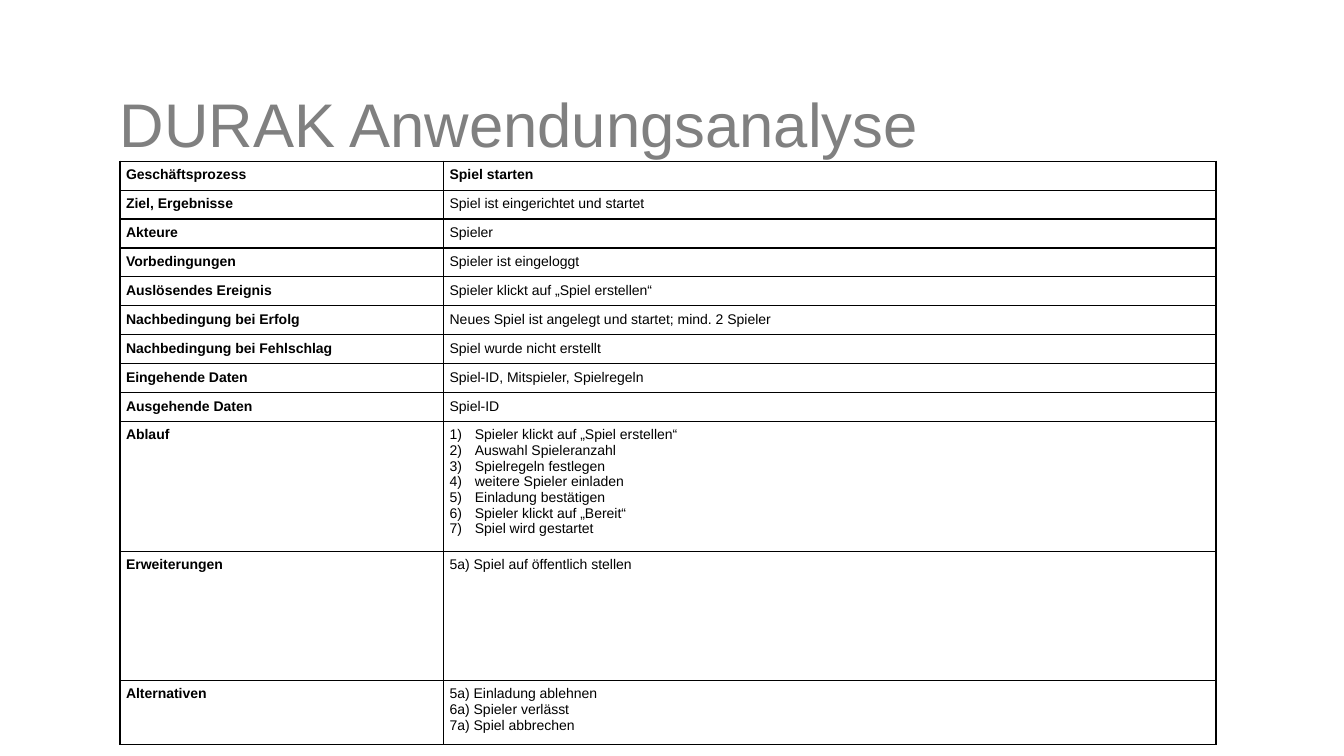
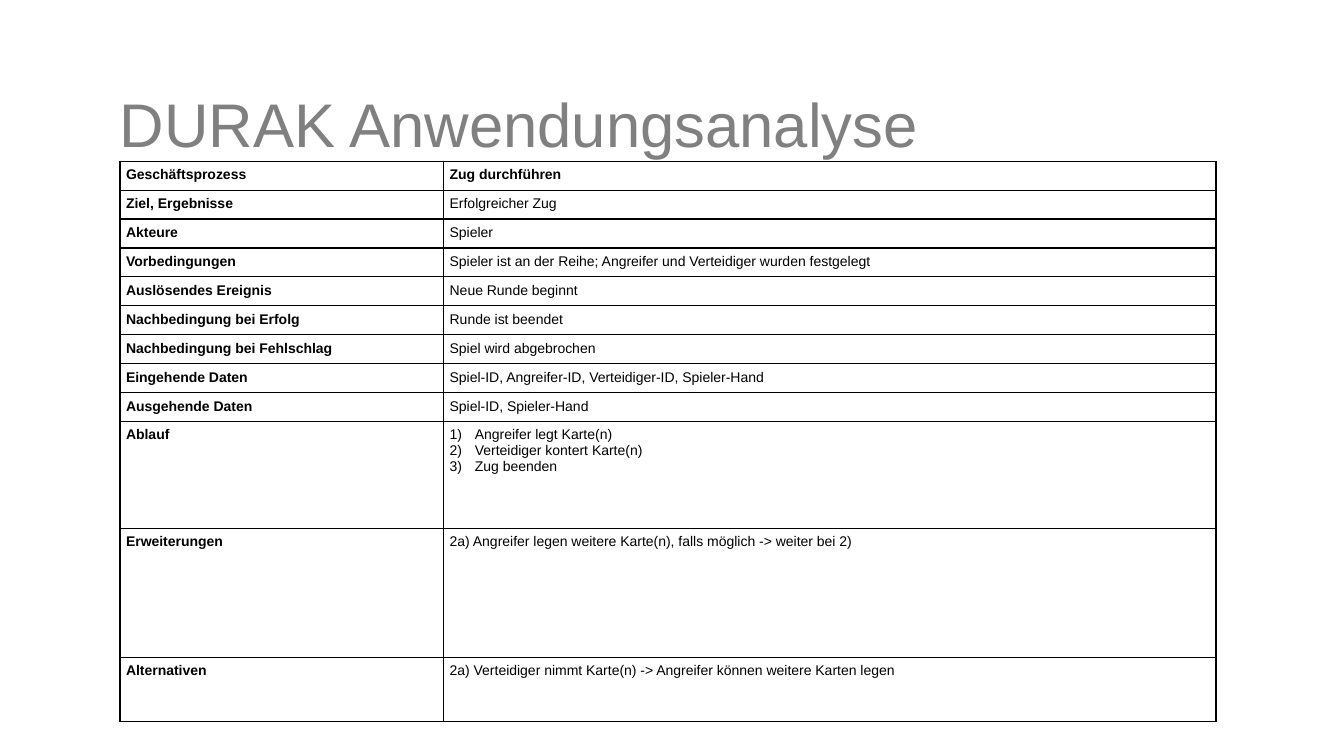
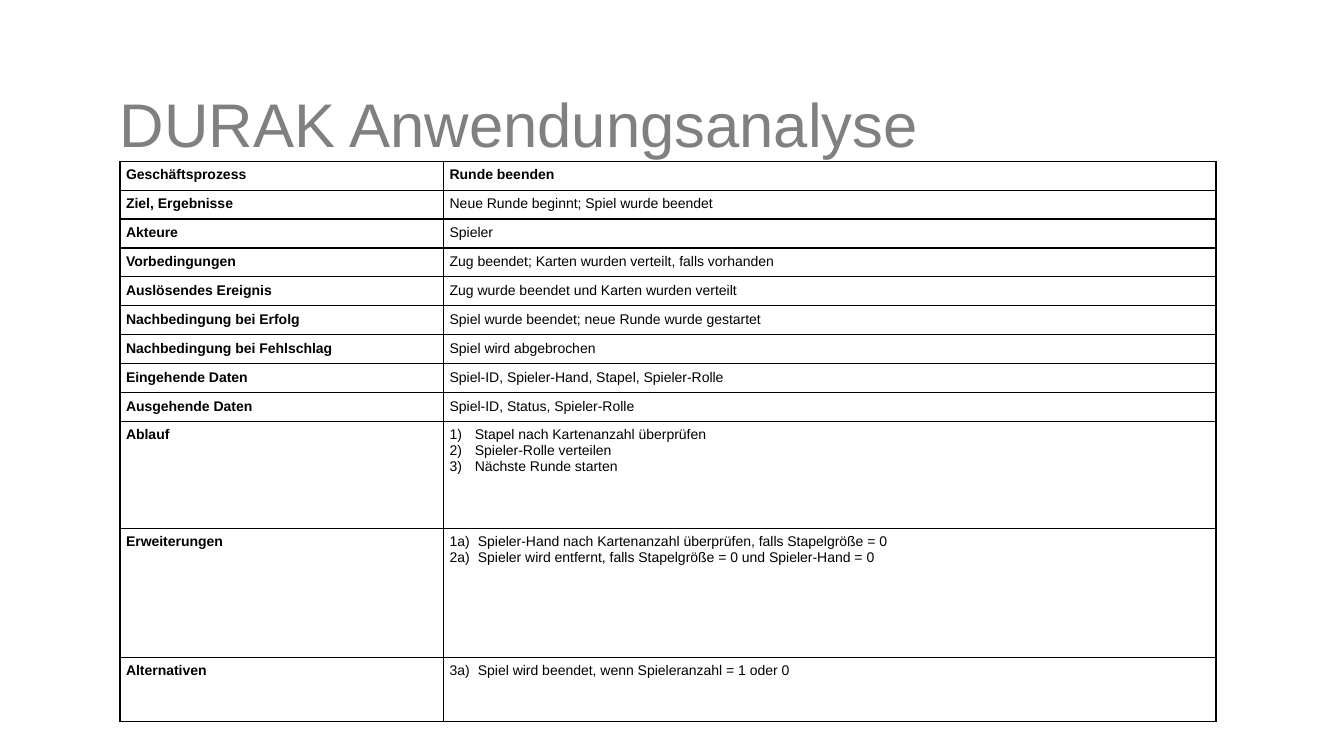
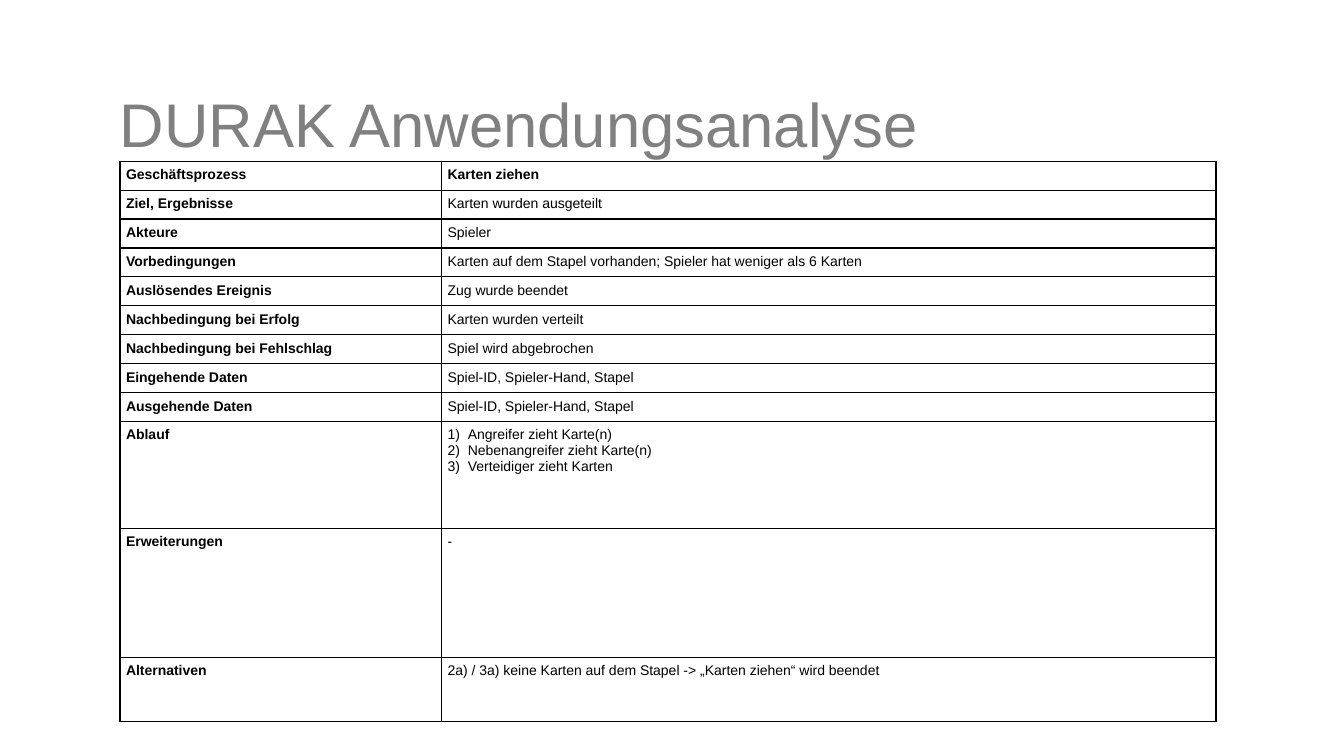
from dataclasses import dataclass

from lxml import etree
from pptx import Presentation
from pptx.dml.color import RGBColor
from pptx.enum import text as t
from pptx.oxml import ns
from pptx.util import Inches, Pt

COLORS = {"title": "808080", "text": "000000", "line": "000000"}
FONT = "Arial"
TITLE = "DURAK Anwendungsanalyse"
LEFT, WIDTH = 1.19, 10.87
TOP, FLOW_TOP = 1.6, 4.18
PAD = 0.06
LABELS = [
    "Geschäftsprozess", "Ziel, Ergebnisse", "Akteure", "Vorbedingungen",
    "Auslösendes Ereignis", "Nachbedingung bei Erfolg",
    "Nachbedingung bei Fehlschlag", "Eingehende Daten", "Ausgehende Daten",
    "Ablauf", "Erweiterungen", "Alternativen",
]
SHORT = len(LABELS) - 3


@dataclass
class Entry:
    """Lines of one cell; hang is the hanging indent in inches."""
    lines: list[str]
    hang: float = 0
    auto: bool = False


@dataclass
class Case:
    facts: list[str]
    flow: Entry
    extras: Entry
    others: Entry
    flow_high: float = 1.06
    label_wide: float = 3.21


CASES = [
    Case(
        ["Spiel starten", "Spiel ist eingerichtet und startet", "Spieler",
         "Spieler ist eingeloggt", "Spieler klickt auf „Spiel erstellen“",
         "Neues Spiel ist angelegt und startet; mind. 2 Spieler",
         "Spiel wurde nicht erstellt", "Spiel-ID, Mitspieler, Spielregeln",
         "Spiel-ID"],
        Entry(["Spieler klickt auf „Spiel erstellen“", "Auswahl Spieleranzahl",
               "Spielregeln festlegen", "weitere Spieler einladen",
               "Einladung bestätigen", "Spieler klickt auf „Bereit“",
               "Spiel wird gestartet"], 0.25, True),
        Entry(["5a) Spiel auf öffentlich stellen"]),
        Entry(["5a) Einladung ablehnen", "6a) Spieler verlässt",
               "7a) Spiel abbrechen"]),
        flow_high=1.29,
    ),
    Case(
        ["Zug durchführen", "Erfolgreicher Zug", "Spieler",
         "Spieler ist an der Reihe; Angreifer und Verteidiger wurden festgelegt",
         "Neue Runde beginnt", "Runde ist beendet", "Spiel wird abgebrochen",
         "Spiel-ID, Angreifer-ID, Verteidiger-ID, Spieler-Hand",
         "Spiel-ID, Spieler-Hand"],
        Entry(["Angreifer legt Karte(n)", "Verteidiger kontert Karte(n)",
               "Zug beenden"], 0.25, True),
        Entry(["2a) Angreifer legen weitere Karte(n), falls möglich -> weiter bei 2)"]),
        Entry(["2a) Verteidiger nimmt Karte(n) -> Angreifer können weitere Karten legen"]),
    ),
    Case(
        ["Runde beenden", "Neue Runde beginnt; Spiel wurde beendet", "Spieler",
         "Zug beendet; Karten wurden verteilt, falls vorhanden",
         "Zug wurde beendet und Karten wurden verteilt",
         "Spiel wurde beendet; neue Runde wurde gestartet",
         "Spiel wird abgebrochen",
         "Spiel-ID, Spieler-Hand, Stapel, Spieler-Rolle",
         "Spiel-ID, Status, Spieler-Rolle"],
        Entry(["Stapel nach Kartenanzahl überprüfen", "Spieler-Rolle verteilen",
               "Nächste Runde starten"], 0.25, True),
        Entry(["1a)\tSpieler-Hand nach Kartenanzahl überprüfen, falls Stapelgröße = 0",
               "2a)\tSpieler wird entfernt, falls Stapelgröße = 0 und Spieler-Hand = 0"],
              0.28),
        Entry(["3a)\tSpiel wird beendet, wenn Spieleranzahl = 1 oder 0"], 0.28),
    ),
    Case(
        ["Karten ziehen", "Karten wurden ausgeteilt", "Spieler",
         "Karten auf dem Stapel vorhanden; Spieler hat weniger als 6 Karten",
         "Zug wurde beendet", "Karten wurden verteilt", "Spiel wird abgebrochen",
         "Spiel-ID, Spieler-Hand, Stapel", "Spiel-ID, Spieler-Hand, Stapel"],
        Entry(["1)\tAngreifer zieht Karte(n)", "2)\tNebenangreifer zieht Karte(n)",
               "3)\tVerteidiger zieht Karten"], 0.2),
        Entry(["-"]),
        Entry(["2a) / 3a) keine Karten auf dem Stapel -> „Karten ziehen“ wird beendet"]),
        label_wide=3.19,
    ),
]


def style(para, size: float, color: str, bold: bool = False) -> None:
    font = para.font
    font.name, font.size, font.bold = FONT, Pt(size), bold
    font.color.rgb = RGBColor.from_string(COLORS[color])


def hang(para, entry: Entry) -> None:
    """Indent the lines after their number and count them if asked."""
    props = para._p.get_or_add_pPr()
    props.set("marL", str(Inches(entry.hang)))
    props.set("indent", str(-Inches(entry.hang)))
    if entry.auto:
        mark = etree.Element(ns.qn("a:buAutoNum"), type="arabicParenR")
        props.insert(0, mark)


def frame(cell) -> None:
    """Draw the four borders of a cell."""
    props = cell._tc.get_or_add_tcPr()
    for spot, side in enumerate(("lnL", "lnR", "lnT", "lnB")):
        line = etree.Element(ns.qn(f"a:{side}"), w=str(Pt(0.96)))
        fill = etree.SubElement(line, ns.qn("a:solidFill"))
        etree.SubElement(fill, ns.qn("a:srgbClr"), val=COLORS["line"])
        props.insert(spot, line)


def write(cell, entry: Entry, bold: bool) -> None:
    cell.margin_left = cell.margin_right = Inches(PAD)
    cell.margin_top = cell.margin_bottom = Inches(PAD)
    cell.fill.background()
    frame(cell)
    body = cell.text_frame
    for spot, line in enumerate(entry.lines):
        para = body.add_paragraph() if spot else body.paragraphs[0]
        para.text = line
        style(para, 10, "text", bold)
        if entry.hang:
            hang(para, entry)


def head(slide) -> None:
    title = slide.shapes.title
    title.left, title.top = Inches(LEFT), Inches(0.77)
    title.width, title.height = Inches(WIDTH), Inches(0.98)
    body = title.text_frame
    body.text = TITLE
    body.word_wrap = True
    body.auto_size = t.MSO_AUTO_SIZE.NONE
    body.vertical_anchor = t.MSO_ANCHOR.TOP
    body.margin_left = body.margin_right = 0
    body.margin_top, body.margin_bottom = Inches(0.08), Inches(0.01)
    para = body.paragraphs[0]
    para.alignment = t.PP_ALIGN.LEFT
    style(para, 44, "title")


def grid(slide, case: Case) -> None:
    highs = [(FLOW_TOP - TOP) / SHORT] * SHORT + [case.flow_high, 1.28, 0.64]
    table = slide.shapes.add_table(
        len(LABELS), 2, Inches(LEFT), Inches(TOP),
        Inches(WIDTH), Inches(sum(highs))).table
    table.first_row = table.horz_banding = False
    for col, wide in zip(table.columns, (case.label_wide, WIDTH - case.label_wide)):
        col.width = Inches(wide)
    entries = [Entry([fact]) for fact in case.facts]
    entries += [case.flow, case.extras, case.others]
    for spot, (label, entry, high) in enumerate(zip(LABELS, entries, highs)):
        table.rows[spot].height = Inches(high)
        write(table.cell(spot, 0), Entry([label]), True)
        write(table.cell(spot, 1), entry, spot == 0)


def main() -> None:
    deck = Presentation()
    deck.slide_width, deck.slide_height = Inches(13.33), Inches(7.5)
    for case in CASES:
        slide = deck.slides.add_slide(deck.slide_layouts[5])
        head(slide)
        grid(slide, case)
    deck.save("out.pptx")


if __name__ == "__main__":
    main()
